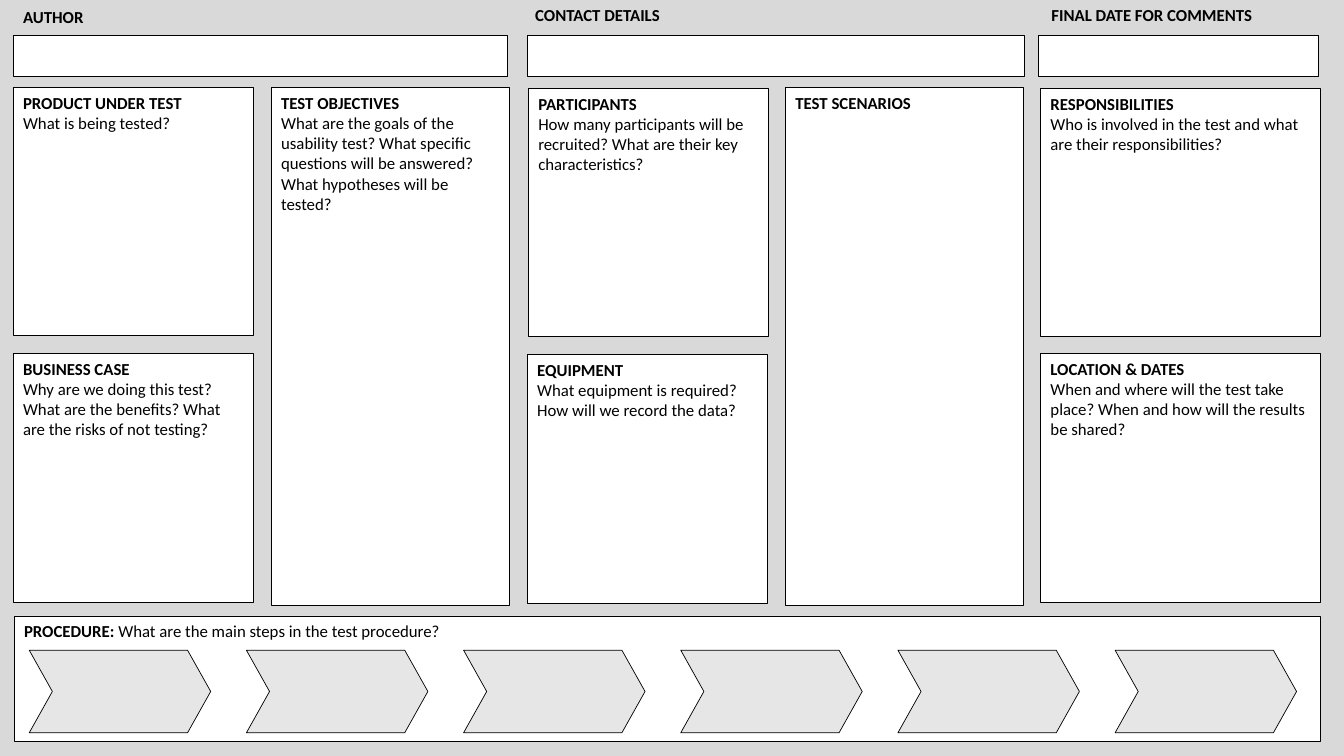
import dataclasses

import pptx
import pptx.dml.color
import pptx.enum.shapes
import pptx.enum.text
import pptx.util

Inches = pptx.util.Inches


@dataclasses.dataclass(frozen=True)
class Theme:
    background: str = "D9D9D9"
    panel: str = "FFFFFF"
    step: str = "E7E6E6"
    ink: str = "000000"
    font: str = "Calibri"
    text_size: float = 12
    line_width: float = 0.5


def color(value):
    return pptx.dml.color.RGBColor.from_string(value)


class CanvasBuilder:
    def __init__(self, slide, theme):
        self.slide = slide
        self.theme = theme
        slide.background.fill.solid()
        slide.background.fill.fore_color.rgb = color(theme.background)

    def add_run(self, paragraph, text, bold):
        run = paragraph.add_run()
        run.text = text
        run.font.name = self.theme.font
        run.font.size = pptx.util.Pt(self.theme.text_size)
        run.font.bold = bold
        run.font.color.rgb = color(self.theme.ink)

    def add_outlined(self, kind, box, fill):
        shape = self.slide.shapes.add_shape(kind, *map(Inches, box))
        shape.shadow.inherit = False
        shape.fill.solid()
        shape.fill.fore_color.rgb = color(fill)
        shape.line.color.rgb = color(self.theme.ink)
        shape.line.width = pptx.util.Pt(self.theme.line_width)
        return shape

    def add_panel(self, box, paragraphs=()):
        """Draw a white box; each paragraph is a list of (text, bold) runs."""
        shape = self.add_outlined(
            pptx.enum.shapes.MSO_SHAPE.RECTANGLE, box, self.theme.panel)
        frame = shape.text_frame
        frame.word_wrap = True
        frame.vertical_anchor = pptx.enum.text.MSO_ANCHOR.TOP
        for index, runs in enumerate(paragraphs):
            paragraph = frame.add_paragraph() if index else frame.paragraphs[0]
            paragraph.alignment = pptx.enum.text.PP_ALIGN.LEFT
            for text, bold in runs:
                self.add_run(paragraph, text, bold)

    def add_label(self, box, text, wrap):
        shape = self.slide.shapes.add_textbox(*map(Inches, box))
        frame = shape.text_frame
        frame.word_wrap = wrap
        frame.auto_size = pptx.enum.text.MSO_AUTO_SIZE.SHAPE_TO_FIT_TEXT
        self.add_run(frame.paragraphs[0], text, True)

    def add_step(self, box):
        shape = self.add_outlined(
            pptx.enum.shapes.MSO_SHAPE.CHEVRON, box, self.theme.step)
        shape.adjustments[0] = 0.28


# Field box, label box, label, label wraps
HEADER_FIELDS = [
    ((0.13, 0.35, 4.9, 0.41), (0.13, 0.02, 0.81, 0.3), "AUTHOR", False),
    ((5.23, 0.35, 4.93, 0.41), (5.21, 0, 4.9, 0.3), "CONTACT DETAILS", True),
    ((10.3, 0.35, 2.78, 0.41), (10.33, 0, 2.77, 0.3),
     "FINAL DATE FOR COMMENTS", True),
]

# Box, heading, prompts
PANELS = [
    ((0.13, 0.87, 2.38, 2.46), "PRODUCT UNDER TEST",
     ["What is being tested?"]),
    ((2.69, 0.87, 2.36, 5.14), "TEST OBJECTIVES",
     ["What are the goals of the usability test? What specific questions "
      "will be answered? What hypotheses will be tested?"]),
    ((0.13, 3.51, 2.38, 2.47), "BUSINESS CASE",
     ["Why are we doing this test? What are the benefits? "
      "What are the risks of not testing?"]),
    ((5.24, 0.88, 2.38, 2.46), "PARTICIPANTS",
     ["How many participants will be recruited? "
      "What are their key characteristics?"]),
    ((7.79, 0.87, 2.36, 5.14), "TEST SCENARIOS", []),
    ((5.23, 3.52, 2.38, 2.47), "EQUIPMENT",
     ["What equipment is required?", "How will we record the data?"]),
    ((10.32, 0.88, 2.78, 2.46), "RESPONSIBILITIES",
     ["Who is involved in the test and what are their responsibilities?"]),
    ((10.32, 3.51, 2.78, 2.47), "LOCATION & DATES",
     ["When and where will the test take place? "
      "When and how will the results be shared?"]),
]

STEP_COUNT = 6
FIRST_STEP_LEFT, LAST_STEP_LEFT = 0.29, 11.06


def main():
    presentation = pptx.Presentation()
    presentation.slide_width = Inches(13.33)
    presentation.slide_height = Inches(7.5)
    slide = presentation.slides.add_slide(presentation.slide_layouts[6])
    canvas = CanvasBuilder(slide, Theme())

    for field_box, label_box, label, wrap in HEADER_FIELDS:
        canvas.add_panel(field_box)
        canvas.add_label(label_box, label, wrap)

    for box, heading, prompts in PANELS:
        canvas.add_panel(
            box, [[(heading, True)]] + [[(prompt, False)] for prompt in prompts])

    canvas.add_panel((0.14, 6.11, 12.96, 1.25), [[
        ("PROCEDURE: ", True),
        ("What are the main steps in the test procedure?", False)]])
    pitch = (LAST_STEP_LEFT - FIRST_STEP_LEFT) / (STEP_COUNT - 1)
    for index in range(STEP_COUNT):
        canvas.add_step((FIRST_STEP_LEFT + index * pitch, 6.45, 1.8, 0.82))

    presentation.save("out.pptx")


if __name__ == "__main__":
    main()
